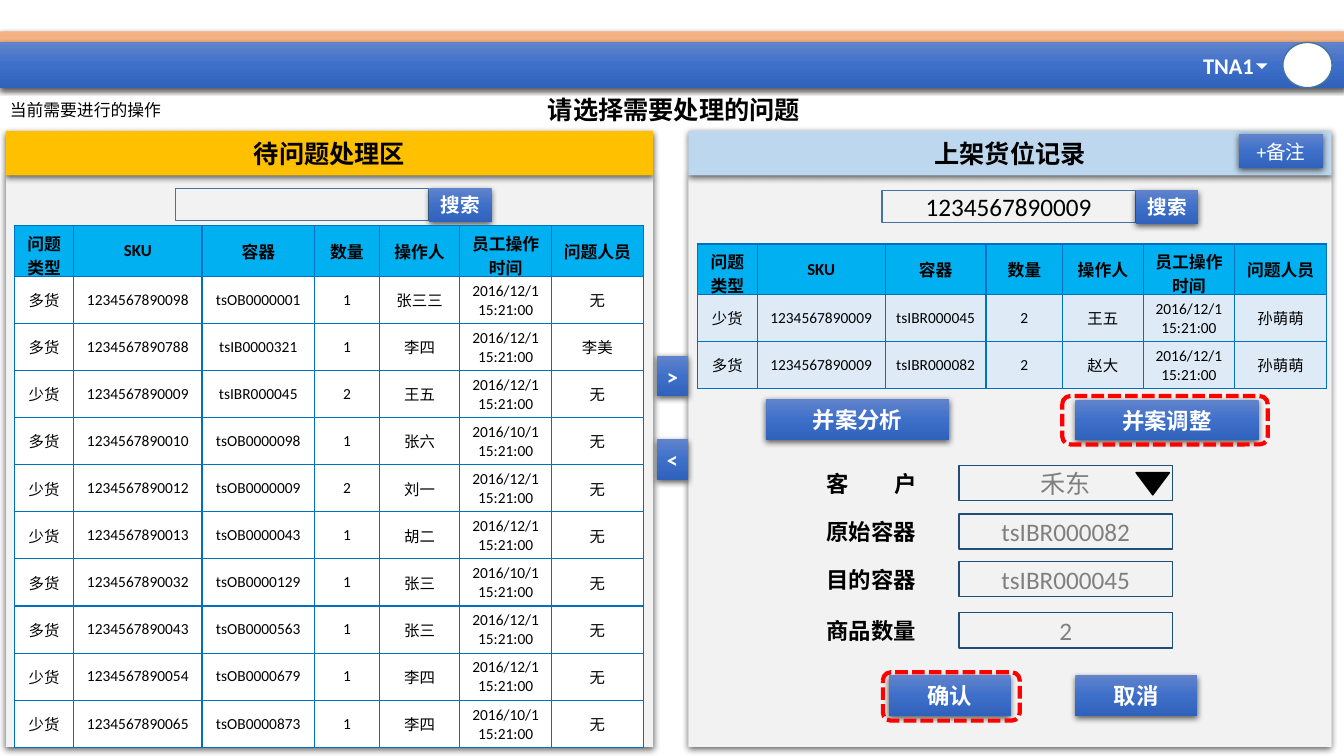
from pptx import Presentation
from pptx.dml.color import RGBColor
from pptx.enum.dml import MSO_LINE
from pptx.enum.shapes import MSO_SHAPE
from pptx.enum.text import MSO_ANCHOR, PP_ALIGN
from pptx.oxml import parse_xml
from pptx.oxml.ns import nsdecls, qn
from pptx.util import Cm, Pt

RECT = MSO_SHAPE.RECTANGLE
ROUND = MSO_SHAPE.ROUNDED_RECTANGLE
OVAL = MSO_SHAPE.OVAL
CORNER = MSO_SHAPE.RIGHT_TRIANGLE
WEDGE = MSO_SHAPE.ISOSCELES_TRIANGLE
MIDDLE = MSO_ANCHOR.MIDDLE
LEFT, CENTER = PP_ALIGN.LEFT, PP_ALIGN.CENTER
DASH = MSO_LINE.SQUARE_DOT

BLACK, WHITE, GREY = "000000", "FFFFFF", "808080"
PALE, RED, EDGE, NAVY = "F2F2F2", "FF0000", "43739E", "1F4E79"
BLUES = ((0, "6183CB"), (50, "3E70CA"), (100, "3062BB"))
WIDTH, HEIGHT = 33.87, 19.05

HEADS = ["问题类型", "SKU", "容器", "数量", "操作人", "员工操作时间", "问题人员"]
# kind, SKU ending, container, count, operator, month, owner
PENDING = [
    ("多货", "0098", "tsOB0000001", 1, "张三三", 12, "无"),
    ("多货", "0788", "tsIB0000321", 1, "李四", 12, "李美"),
    ("少货", "0009", "tsIBR000045", 2, "王五", 12, "无"),
    ("多货", "0010", "tsOB0000098", 1, "张六", 10, "无"),
    ("少货", "0012", "tsOB0000009", 2, "刘一", 12, "无"),
    ("少货", "0013", "tsOB0000043", 1, "胡二", 12, "无"),
    ("多货", "0032", "tsOB0000129", 1, "张三", 10, "无"),
    ("多货", "0043", "tsOB0000563", 1, "张三", 12, "无"),
    ("少货", "0054", "tsOB0000679", 1, "李四", 12, "无"),
    ("少货", "0065", "tsOB0000873", 1, "李四", 10, "无"),
]
SHELVED = [
    ("少货", "0009", "tsIBR000045", 2, "王五", 12, "孙萌萌"),
    ("多货", "0009", "tsIBR000082", 2, "赵大", 12, "孙萌萌"),
]
FIELDS = [
    ("客\t户", 11.73, "禾东"),
    ("原始容器", 12.95, "tsIBR000082"),
    ("目的容器", 14.15, "tsIBR000045"),
    ("商品数量", 15.44, "2"),
]


def rgb(code):
    return RGBColor.from_string(code)


class Page:
    font = "Calibri"

    def __init__(self, slide):
        self.shapes = slide.shapes

    def label(self, frame, text, size, color=BLACK, bold=False, align=CENTER):
        frame.text = text
        for para in frame.paragraphs:
            para.alignment = align
            font = para.font
            font.name, font.size, font.bold = self.font, Pt(size), bold
            font.color.rgb = rgb(color)

    def shape(self, x, y, w, h, fill=None, line=None, kind=RECT, weight=1,
              shade=False):
        item = self.shapes.add_shape(kind, Cm(x), Cm(y), Cm(w), Cm(h))
        props = item._element.spPr
        if fill is BLUES:
            stops = "".join(
                f'<a:gs pos="{at * 1000}"><a:srgbClr val="{code}"/></a:gs>'
                for at, code in BLUES)
            props.append(parse_xml(
                f'<a:gradFill {nsdecls("a")} rotWithShape="1"><a:gsLst>{stops}'
                '</a:gsLst><a:lin ang="5400000" scaled="0"/></a:gradFill>'))
        elif fill:
            item.fill.solid()
            item.fill.fore_color.rgb = rgb(fill)
        else:
            item.fill.background()
        if line:
            item.line.color.rgb = rgb(line)
            item.line.width = Pt(weight)
        else:
            item.line.fill.background()
        item.shadow.inherit = False
        if shade:
            props.find(qn("a:effectLst")).append(parse_xml(
                f'<a:outerShdw {nsdecls("a")} blurRad="57150" dist="19050" '
                'dir="5400000" algn="ctr" rotWithShape="0"><a:srgbClr '
                'val="000000"><a:alpha val="63000"/></a:srgbClr></a:outerShdw>'))
        return item

    def box(self, x, y, w, h, text, size, color=BLACK, bold=False, **look):
        frame = self.shape(x, y, w, h, **look).text_frame
        frame.vertical_anchor = MIDDLE
        self.label(frame, text, size, color, bold)

    def button(self, x, y, w, h, text, size=16, bold=True):
        self.box(x, y, w, h, text, size, WHITE, bold, fill=BLUES, shade=True)

    def text(self, x, y, w, h, text, size, color=BLACK, bold=True, align=LEFT):
        frame = self.shapes.add_textbox(Cm(x), Cm(y), Cm(w), Cm(h)).text_frame
        frame.word_wrap = True
        frame.vertical_anchor = MIDDLE
        self.label(frame, text, size, color, bold, align)
        return frame.paragraphs[0]

    def panel(self, x, w, title, color):
        self.shape(x, 4.42, w, 14.4, PALE, shade=True)
        self.box(x, 3.3, w, 1.12, title, 18, bold=True, fill=color, shade=True)

    def search(self, x, y, text=""):
        self.box(x, y, 6.38, 0.81, text, 18, line=EDGE)
        self.button(x + 6.4, y, 1.57, 0.84, "搜索", 14)

    def ring(self, x, y, w):
        """Dashed red outline around a button."""
        item = self.shape(x, y, w, 1.22, line=RED, kind=ROUND, weight=3)
        item.line.dash_style = DASH

    def field(self, name, y, value):
        para = self.text(20.58, y, 3.91, 0.99, name, 16)
        para.line_spacing = 0.9
        if "\t" in name:
            para._p.pPr.insert_element_before(parse_xml(
                f'<a:tabLst {nsdecls("a")}><a:tab pos="{Cm(1.72)}" algn="l"/>'
                '</a:tabLst>'), "a:defRPr")
        self.box(24.17, y, 5.38, 0.89, value, 18, GREY, line=NAVY)

    def cell(self, cell, text, size, bold, fill):
        self.label(cell.text_frame, text, size, bold=bold)
        cell.vertical_anchor = MIDDLE
        props = cell._tc.get_or_add_tcPr()
        for side in "LRTB":
            props.append(parse_xml(
                f'<a:ln{side} {nsdecls("a")} w="12700"><a:solidFill>'
                f'<a:srgbClr val="0070C0"/></a:solidFill></a:ln{side}>'))
        cell.fill.solid()
        cell.fill.fore_color.rgb = rgb(fill)

    def table(self, x, y, cols, data, fill):
        highs = [1.02] + [1.18] * len(data)
        grid = self.shapes.add_table(len(highs), len(cols), Cm(x), Cm(y),
                                     Cm(sum(cols)), Cm(sum(highs))).table
        grid.first_row = grid.horz_banding = False
        for col, w in zip(grid.columns, cols):
            col.width = Cm(w)
        for row, h in zip(grid.rows, highs):
            row.height = Cm(h)
        for c, head in enumerate(HEADS):
            self.cell(grid.cell(0, c), head, 12, True, "00B0F0")
        for r, (kind, sku, bin_, count, user, month, owner) in enumerate(data, 1):
            texts = (kind, "123456789" + sku, bin_, str(count), user,
                     f"2016/{month}/1\n15:21:00", owner)
            for c, text in enumerate(texts):
                self.cell(grid.cell(r, c), text, 11, False, fill)


def main():
    deck = Presentation()
    deck.slide_width, deck.slide_height = Cm(WIDTH), Cm(HEIGHT)
    page = Page(deck.slides.add_slide(deck.slide_layouts[6]))

    # Top bar
    page.shape(0, 0.79, WIDTH, 0.28, "F4B183", shade=True)
    page.shape(0, 1.07, WIDTH, 1.14, BLUES, shade=True)
    page.shape(32.33, 1.07, 1.24, 1.14, WHITE, EDGE, OVAL)
    page.text(30.07, 1.17, 1.8, 0.94, "TNA1", 16, WHITE)
    page.shape(31.7, 1.5, 0.2, 0.2, WHITE, kind=CORNER).rotation = 314.5
    page.text(0, 2.26, 4.57, 1.02, "当前需要进行的操作", 12, bold=False)
    page.text(0.05, 2.26, WIDTH, 1.02, "请选择需要处理的问题", 18, align=CENTER)

    # Panels
    page.panel(0.15, 16.31, "待问题处理区", "FFC000")
    page.panel(17.35, 16.21, "上架货位记录", "BDD7EE")
    page.button(31.22, 3.38, 2.13, 0.86, "+备注", 14, False)
    page.search(4.42, 4.75)
    page.search(22.23, 4.8, "1234567890009")
    page.table(0.36, 5.69, (1.5, 3.23, 2.84, 1.63, 2.03, 2.31, 2.31),
               PENDING, WHITE)
    page.table(17.58, 6.15, (1.5, 3.23, 2.54, 1.93, 2.03, 2.31, 2.31),
               SHELVED, "DEEBF7")
    page.button(16.55, 8.97, 0.79, 1.02, ">")
    page.button(16.55, 11.07, 0.79, 1.02, "<")

    # Merge form
    page.button(19.3, 10.06, 4.62, 1.02, "并案分析")
    page.button(27.1, 10.08, 4.62, 1.02, "并案调整")
    page.ring(26.77, 9.98, 5.18)
    for field in FIELDS:
        page.field(*field)
    page.shape(28.63, 11.91, 0.84, 0.56, BLACK, BLACK, WEDGE).rotation = 180
    page.button(22.4, 17.02, 3.07, 1.02, "确认")
    page.button(27.1, 17.02, 3.07, 1.02, "取消")
    page.ring(22.25, 16.94, 3.45)

    deck.save("out.pptx")


if __name__ == "__main__":
    main()
